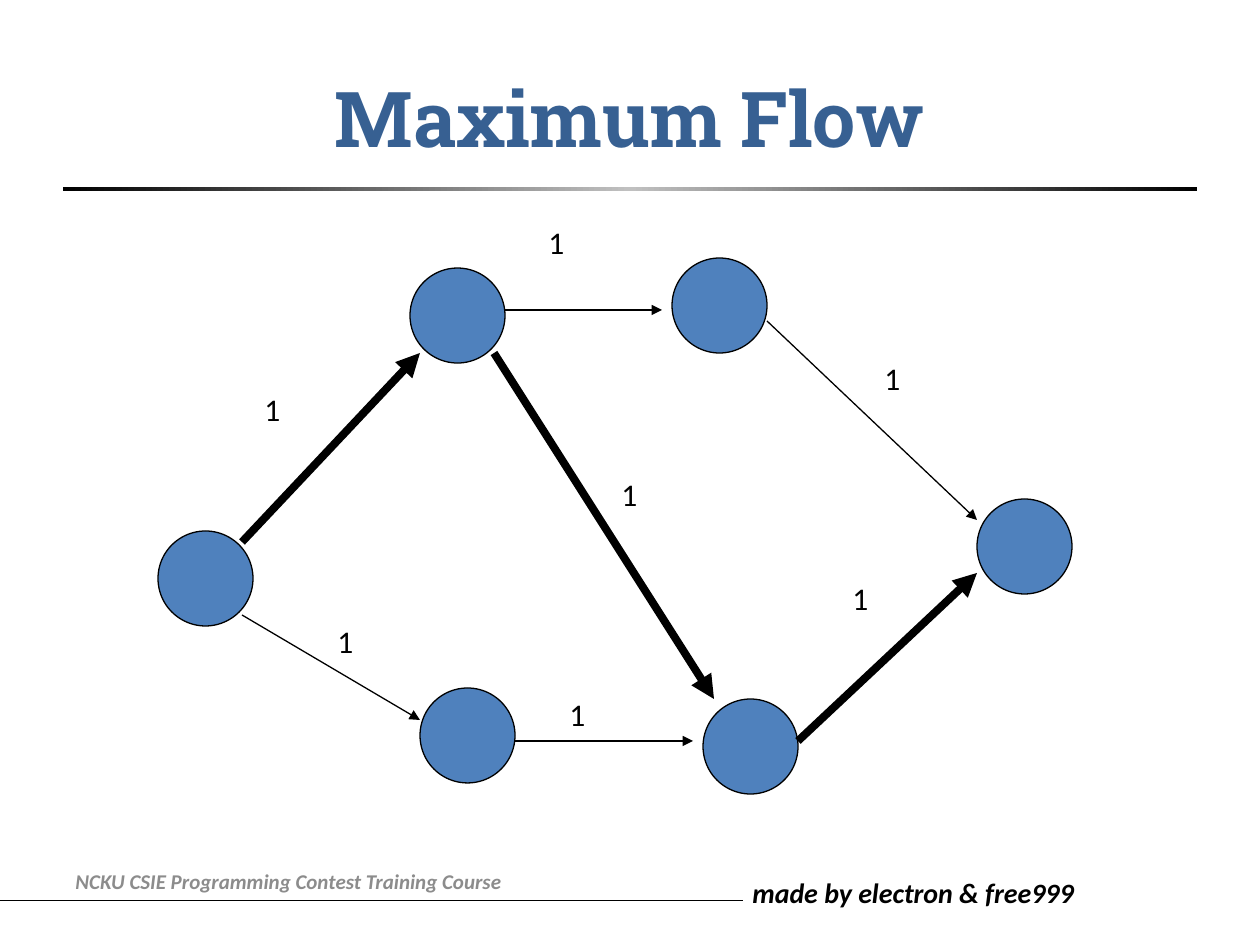
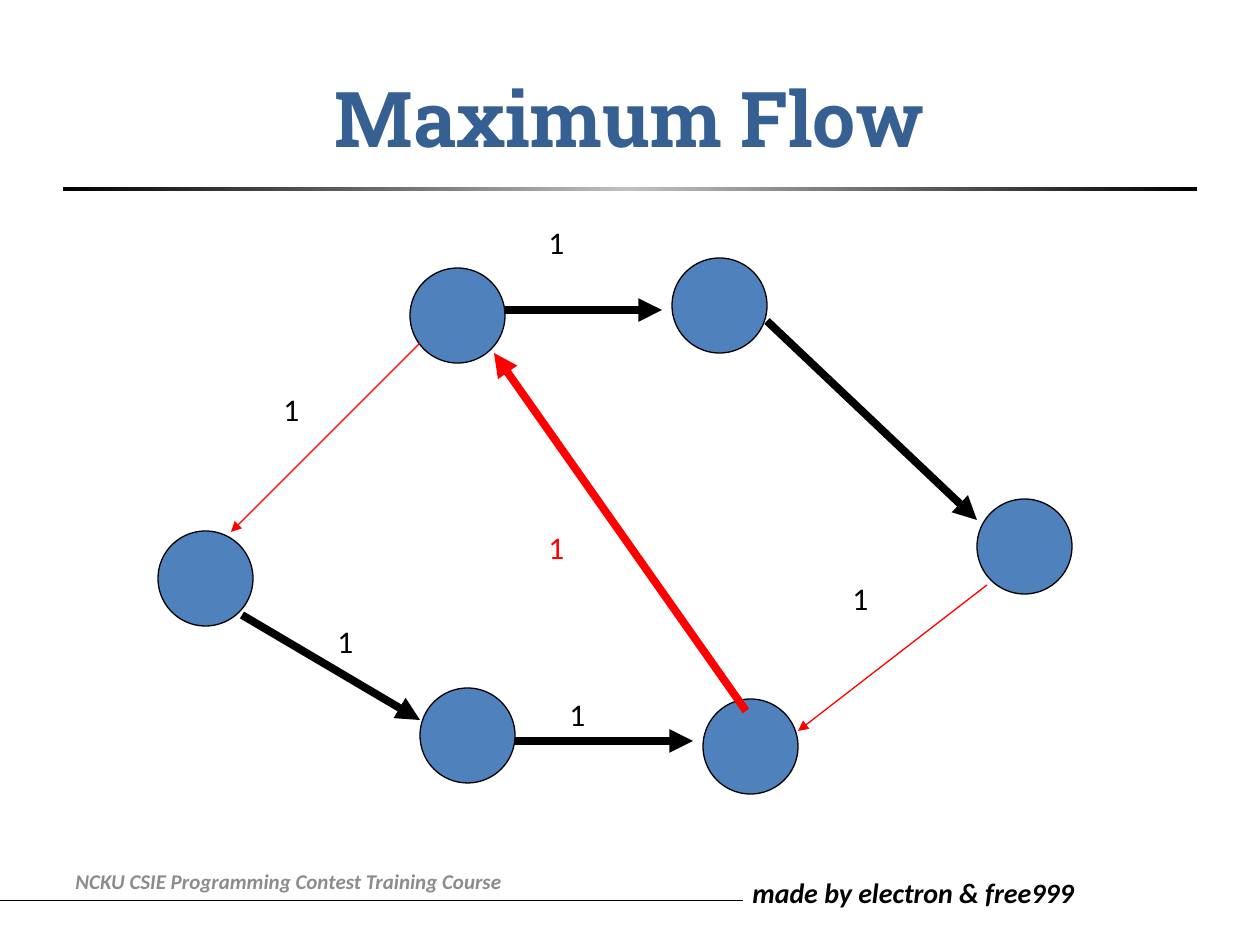
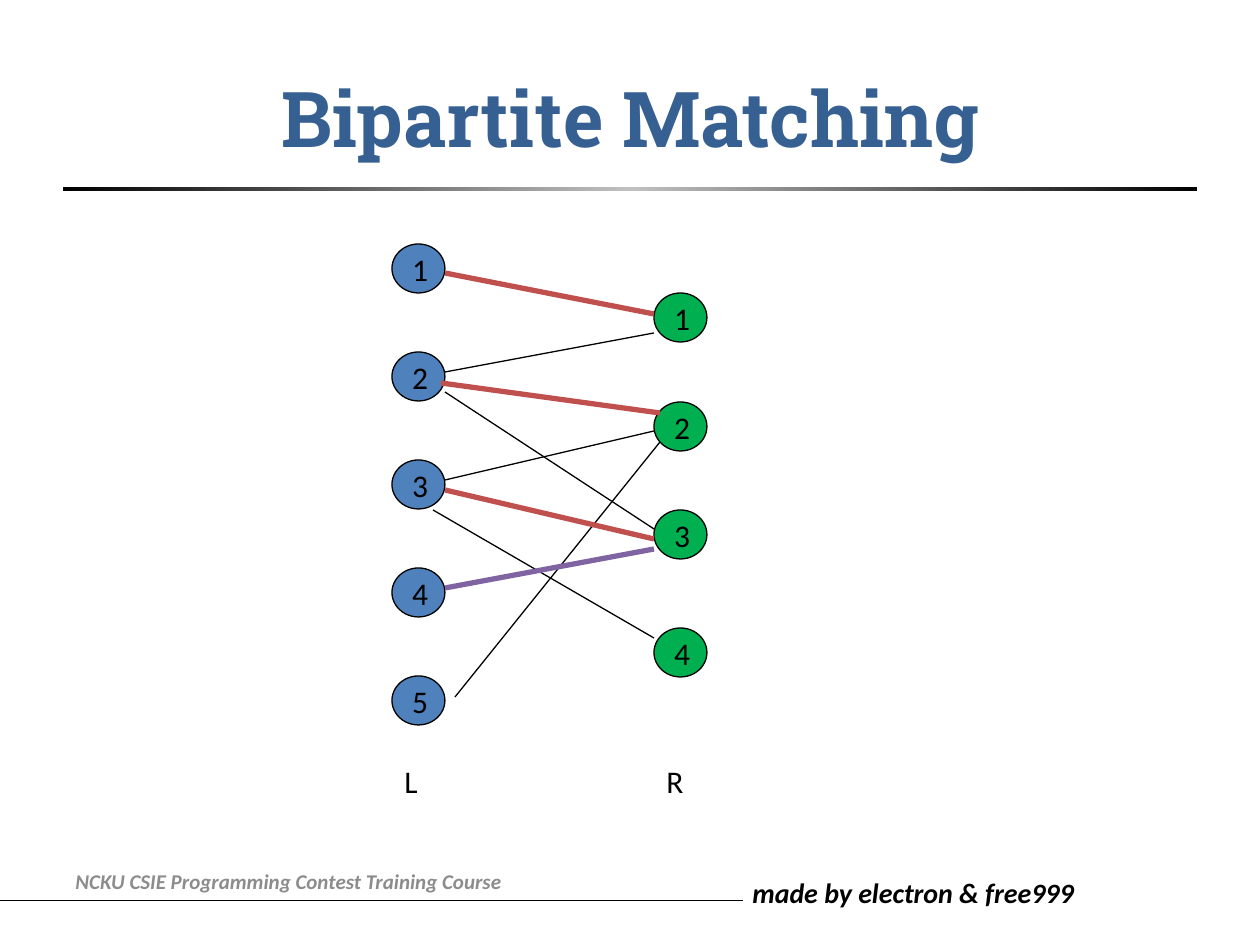
from copy import deepcopy
from dataclasses import dataclass

from lxml import etree
from pptx import Presentation
from pptx import util as u
from pptx.dml.color import RGBColor
from pptx.enum import shapes, text
from pptx.oxml import ns

PX = 914400 / 126


@dataclass(frozen=True)
class Theme:
    heading_font: str = "Roboto Slab"
    body_font: str = "Calibri"
    title_size: int = 44
    text_size: int = 18
    credit_size: int = 16
    footer_size: int = 12
    title: str = "376092"
    ink: str = "000000"
    footer: str = "8C8C8C"
    silver: str = "C0C0C0"
    blue: str = "4F81BD"
    green: str = "00B050"
    reverse: str = "FF0000"
    matched: str = "C0504D"
    candidate: str = "8064A2"
    thin: float = 0.75
    medium: float = 3
    thick: float = 4.5


THEME = Theme()

FLOW_NODES = [(158, 531), (420, 688), (410, 268), (977, 499), (703, 699), (672, 258)]
FLOW_EDGES = {
    "source-top": (242, 542, 420, 353),
    "source-bottom": (242, 615, 420, 720),
    "top": (504, 310, 662, 310),
    "bottom": (515, 741, 693, 741),
    "diagonal": (494, 353, 714, 699),
    "top-sink": (767, 321, 977, 520),
    "bottom-sink": (798, 741, 977, 573),
}
FIRST_PATH = {"source-top", "diagonal", "bottom-sink"}
REVERSED_EDGES = [
    (420, 343, 231, 532, THEME.thin),
    (746, 711, 494, 353, THEME.thick),
    (987, 585, 798, 731, THEME.thin),
]
SHARED_CAPACITIES = [(840, 573, 84), (325, 616, 53), (557, 689, 63), (536, 217, 105)]

LEFT_X, RIGHT_X = 392, 654
LEFT_TOPS = [244 + 108 * row for row in range(5)]
RIGHT_TOPS = [293, 402, 510, 628]
PLAIN_PAIRS = [
    (445, 372, 654, 333),
    (445, 392, 654, 529),
    (445, 480, 654, 431),
    (433, 510, 654, 638),
    (455, 697, 660, 442),
]
MATCHED_PAIRS = [(445, 273, 654, 314), (445, 490, 654, 539), (441, 383, 660, 413)]
CANDIDATE_PAIR = (445, 588, 654, 549)


def px(*lengths):
    return [u.Emu(round(length * PX)) for length in lengths]


def rgb(color):
    return RGBColor.from_string(color)


def style(para, size, color=THEME.ink, name=THEME.body_font, bold=False, italic=False):
    font = para.font
    font.name, font.size = name, u.Pt(size)
    font.bold, font.italic = bold, italic
    font.color.rgb = rgb(color)


def add_text(page, words, place, size=THEME.text_size, color=THEME.ink, grow=True,
             emphasis=False):
    frame = page.shapes.add_textbox(*px(*place)).text_frame
    frame.word_wrap = True
    if grow:
        frame.auto_size = text.MSO_AUTO_SIZE.SHAPE_TO_FIT_TEXT
    else:
        frame.vertical_anchor = text.MSO_ANCHOR.MIDDLE
    frame.text = words
    style(frame.paragraphs[0], size, color, bold=emphasis, italic=emphasis)


def add_line(page, ends, color=THEME.ink, width=THEME.thin, arrow=False):
    line = page.shapes.add_connector(shapes.MSO_CONNECTOR.STRAIGHT, *px(*ends))
    line.line.color.rgb = rgb(color)
    line.line.width = u.Pt(width)
    if arrow:
        outline = line.line._get_or_add_ln()
        etree.SubElement(outline, ns.qn("a:tailEnd"), type="triangle")
    etree.SubElement(line._element.spPr, ns.qn("a:effectLst"))


def add_node(page, place, color, label=None):
    node = page.shapes.add_shape(shapes.MSO_SHAPE.OVAL, *px(*place))
    node.shadow.inherit = False
    node.fill.solid()
    node.fill.fore_color.rgb = rgb(color)
    node.line.color.rgb = rgb(THEME.ink)
    node.line.width = u.Pt(THEME.thin)
    if label:
        frame = node.text_frame
        frame.word_wrap = False
        frame.vertical_anchor = text.MSO_ANCHOR.MIDDLE
        frame.text = label
        para = frame.paragraphs[0]
        para.alignment = text.PP_ALIGN.LEFT
        style(para, THEME.text_size)


def add_title_rule(page):
    rule = page.shapes.add_shape(shapes.MSO_SHAPE.RECTANGLE, *px(63, 187, 1134, 4))
    rule.shadow.inherit = False
    rule.line.fill.background()
    rule.fill.gradient()
    rule.fill.gradient_angle = 0
    stop_list = rule._element.spPr.find(".//" + ns.qn("a:gsLst"))
    stop_list.append(deepcopy(stop_list[0]))
    colors = [THEME.ink, THEME.silver, THEME.ink]
    for index, (stop, color) in enumerate(zip(rule.fill.gradient_stops, colors)):
        stop.position = index / 2
        stop.color.rgb = rgb(color)


def add_page(deck, heading):
    page = deck.slides.add_slide(deck.slide_layouts.get_by_name("Title Only"))
    add_line(page, (-44, 900, 743, 900), width=0.5)
    add_text(page, "made by electron & free999", (740, 869, 373, 47),
             THEME.credit_size, emphasis=True)
    add_title_rule(page)
    title = page.shapes.title
    title.left, title.top, title.width, title.height = px(63, 38, 1134, 158)
    frame = title.text_frame
    frame.text = heading
    frame.vertical_anchor = text.MSO_ANCHOR.MIDDLE
    para = frame.paragraphs[0]
    para.alignment = text.PP_ALIGN.CENTER
    style(para, THEME.title_size, THEME.title, THEME.heading_font, bold=True)
    add_text(page, "NCKU CSIE Programming Contest Training Course", (63, 856, 587, 50),
             THEME.footer_size, THEME.footer, grow=False, emphasis=True)
    return page


def add_capacity(page, left, top, width, color=THEME.ink):
    add_text(page, "1", (left, top, width, 63), color=color)


def add_flow_page(deck, widths, capacities):
    page = add_page(deck, "Maximum Flow")
    for left, top in FLOW_NODES:
        add_node(page, (left, top, 95, 95), THEME.blue)
    for name, width in widths.items():
        add_line(page, FLOW_EDGES[name], width=width, arrow=True)
    for place in SHARED_CAPACITIES + capacities:
        add_capacity(page, *place)
    return page


def add_first_flow(deck):
    widths = {name: THEME.thick if name in FIRST_PATH else THEME.thin
              for name in FLOW_EDGES}
    add_flow_page(deck, widths, [(252, 384, 73), (872, 353, 84), (609, 469, 84)])


def add_residual_flow(deck):
    widths = {name: THEME.thick for name in FLOW_EDGES if name not in FIRST_PATH}
    page = add_flow_page(deck, widths, [(271, 384, 73)])
    for *ends, width in REVERSED_EDGES:
        add_line(page, ends, THEME.reverse, width, arrow=True)
    add_capacity(page, 536, 522, 84, THEME.reverse)


def add_matching(deck):
    page = add_page(deck, "Bipartite Matching")
    sides = [("L", LEFT_X, LEFT_TOPS, THEME.blue), ("R", RIGHT_X, RIGHT_TOPS, THEME.green)]
    for side, left, tops, color in sides:
        for number, top in enumerate(tops, 1):
            add_node(page, (left, top, 53, 49), color, str(number))
        add_text(page, side, (left, 756, 53, 59))
    for ends in PLAIN_PAIRS:
        add_line(page, ends)
    for ends in MATCHED_PAIRS:
        add_line(page, ends, THEME.matched, THEME.medium)
    add_line(page, CANDIDATE_PAIR, THEME.candidate, THEME.medium)


def main():
    deck = Presentation()
    deck.slide_width, deck.slide_height = px(1260, 945)
    add_first_flow(deck)
    add_residual_flow(deck)
    add_matching(deck)
    deck.save("out.pptx")


if __name__ == "__main__":
    main()
